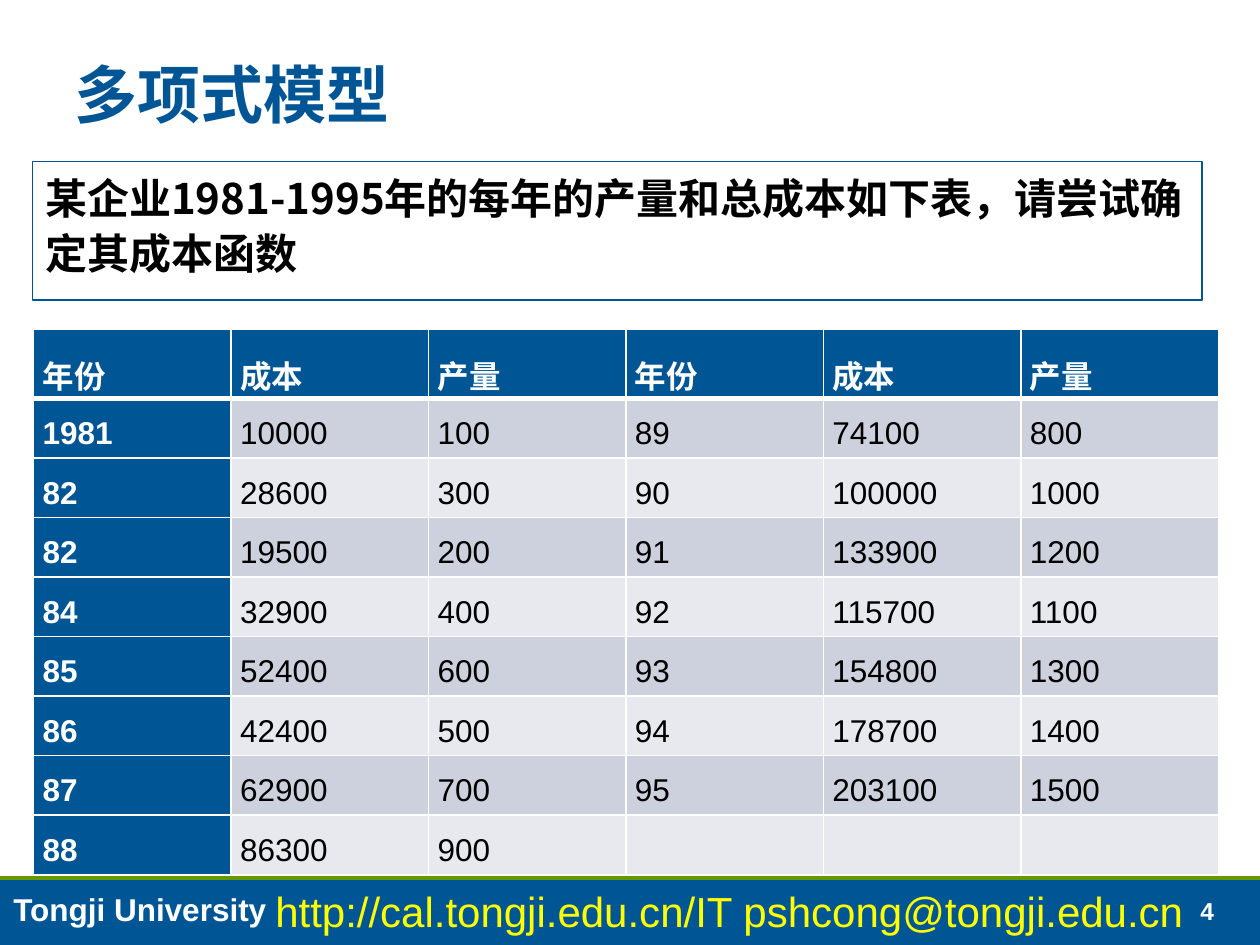
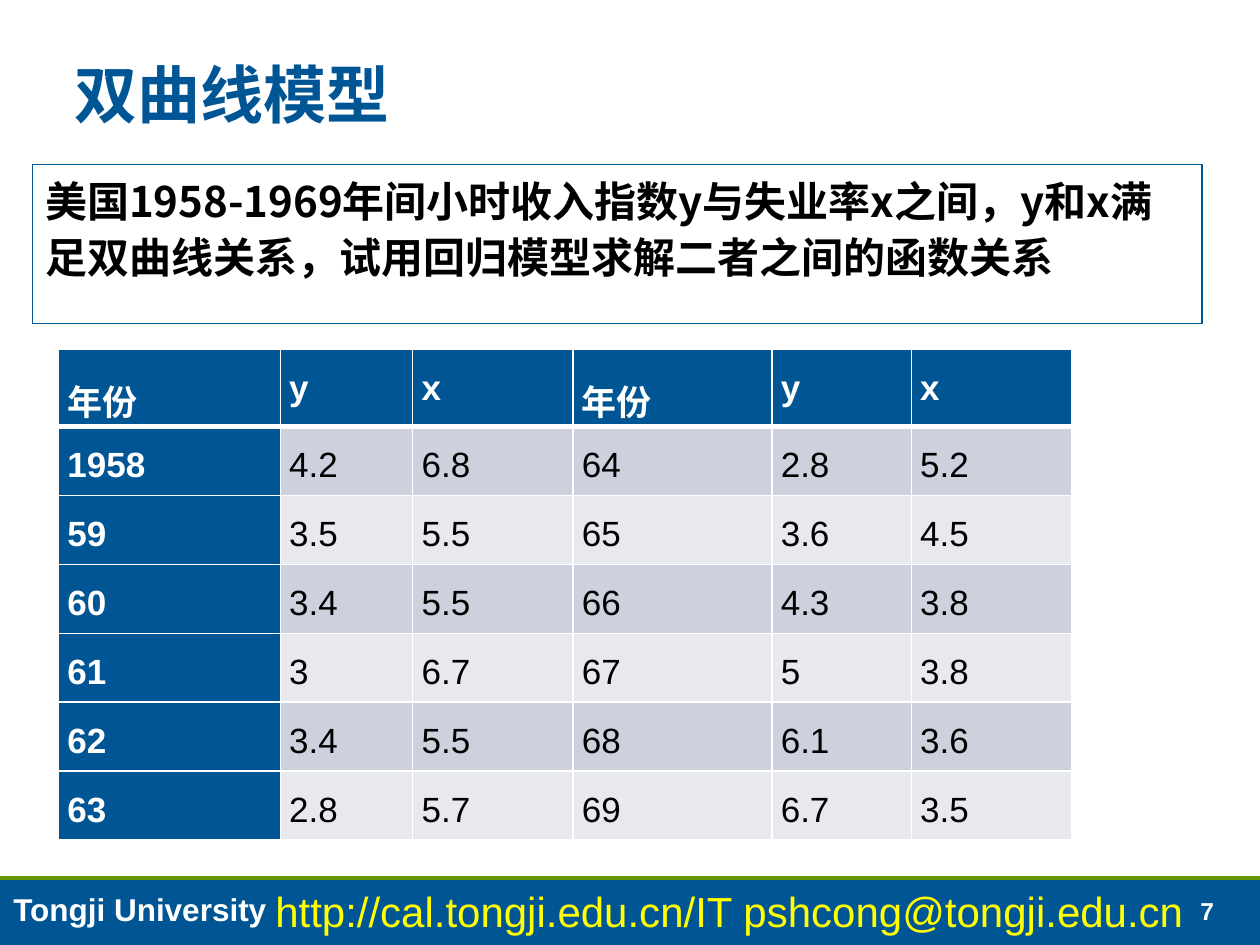
from dataclasses import dataclass

from lxml import etree
from pptx import Presentation
from pptx.dml.color import RGBColor
from pptx.enum.shapes import MSO_CONNECTOR, MSO_SHAPE
from pptx.enum.text import MSO_ANCHOR, PP_ALIGN
from pptx.oxml.ns import qn
from pptx.util import Cm, Pt

RECT = MSO_SHAPE.RECTANGLE
LINE = MSO_CONNECTOR.STRAIGHT
TOP, BASE = MSO_ANCHOR.TOP, MSO_ANCHOR.BOTTOM
LEFT, EVEN = PP_ALIGN.LEFT, PP_ALIGN.JUSTIFY


@dataclass(frozen=True)
class Theme:
    blue: str = "005595"
    green: str = "669900"
    white: str = "FFFFFF"
    black: str = "000000"
    yellow: str = "FFFF00"
    bands: tuple = ("CCD1DD", "E7E9EF")
    sans: str = "Arial"
    han: str = "Noto Sans CJK JP"
    title: int = 36
    body: int = 24
    mail: int = 24
    name: int = 18
    page: int = 14


T = Theme()

# Content: lengths in cm
WIDE, HIGH, FOOT = 25.4, 19.05, 17.7
NAME = "Tongji University"
MAIL = "http://cal.tongji.edu.cn/IT pshcong@tongji.edu.cn"

SLIDES = [
    {
        "page": "4",
        "title": "多项式模型",
        "task": "某企业1981-1995年的每年的产量和总成本如下表，请尝试确定其成本函数",
        "box": (0.66, 3.25, 23.57, 2.8),
        "spot": (0.68, 6.63),
        "cols": [3.98] * 6,
        "head": 1.4,
        "row": 1.2,
        "size": 18,
        "data": [
            ("年份", "成本", "产量", "年份", "成本", "产量"),
            ("1981", "10000", "100", "89", "74100", "800"),
            ("82", "28600", "300", "90", "100000", "1000"),
            ("82", "19500", "200", "91", "133900", "1200"),
            ("84", "32900", "400", "92", "115700", "1100"),
            ("85", "52400", "600", "93", "154800", "1300"),
            ("86", "42400", "500", "94", "178700", "1400"),
            ("87", "62900", "700", "95", "203100", "1500"),
            ("88", "86300", "900", "", "", ""),
        ],
    },
    {
        "page": "7",
        "title": "双曲线模型",
        "task": "美国1958-1969年间小时收入指数y与失业率x之间，y和x满足双曲线关系，"
                "试用回归模型求解二者之间的函数关系",
        "box": (0.66, 3.32, 23.57, 3.2),
        "spot": (1.18, 7.05),
        "cols": [4.47, 2.67, 3.23, 4.01, 2.81, 3.23],
        "head": 1.55,
        "row": 1.39,
        "size": 20,
        "data": [
            ("年份", "y", "x", "年份", "y", "x"),
            ("1958", "4.2", "6.8", "64", "2.8", "5.2"),
            ("59", "3.5", "5.5", "65", "3.6", "4.5"),
            ("60", "3.4", "5.5", "66", "4.3", "3.8"),
            ("61", "3", "6.7", "67", "5", "3.8"),
            ("62", "3.4", "5.5", "68", "6.1", "3.6"),
            ("63", "2.8", "5.7", "69", "6.7", "3.5"),
        ],
    },
]


def rgb(hue):
    return RGBColor.from_string(hue)


def paint(part, hue):
    part.fill.solid()
    part.fill.fore_color.rgb = rgb(hue)


def write(frame, text, size, hue, bold=True, font=T.sans, space=1.0, align=LEFT):
    par = frame.paragraphs[0]
    par.text = text
    par.alignment = align
    par.line_spacing = space
    face = par.font
    face.name, face.size, face.bold = font, Pt(size), bold
    face.color.rgb = rgb(hue)
    return par


def add_text(slide, box, *words, anchor=TOP, **style):
    shape = slide.shapes.add_textbox(*map(Cm, box))
    frame = shape.text_frame
    frame.word_wrap = True
    frame.vertical_anchor = anchor
    return shape, write(frame, *words, **style)


def edge(cell, rules):
    """Draw white cell borders; rules maps a side to its width in points."""
    props = cell._tc.get_or_add_tcPr()
    for spot, (side, width) in enumerate(rules.items()):
        line = etree.Element(qn("a:ln" + side), w=str(Pt(width)))
        fill = etree.SubElement(line, qn("a:solidFill"))
        etree.SubElement(fill, qn("a:srgbClr"), val=T.white)
        props.insert(spot, line)


def add_foot(slide, page):
    band = slide.shapes.add_shape(RECT, 0, Cm(FOOT), Cm(WIDE), Cm(HIGH - FOOT))
    band.shadow.inherit = False
    paint(band, T.blue)
    band.line.fill.background()
    rule = slide.shapes.add_connector(LINE, 0, Cm(FOOT), Cm(WIDE), Cm(FOOT))
    rule.line.color.rgb = rgb(T.green)
    rule.line.width = Pt(2)
    etree.SubElement(rule._element.spPr, qn("a:effectLst"))
    add_text(slide, (23.95, 17.93, 1.35, 0.86), page, T.page, T.white, anchor=BASE)
    add_text(slide, (0.02, 17.82, 8.92, 1.02), NAME, T.name, T.white)
    add_text(slide, (5.3, 17.73, 19.61, 1.27), MAIL, T.mail, T.yellow, bold=False)


def add_grid(slide, item):
    data, cols = item["data"], item["cols"]
    # The header is taller, to hold its Chinese labels
    rows = [item["head"]] + [item["row"]] * (len(data) - 1)
    box = (*item["spot"], sum(cols), sum(rows))
    grid = slide.shapes.add_table(len(rows), len(cols), *map(Cm, box)).table
    for col, wide in zip(grid.columns, cols):
        col.width = Cm(wide)
    for r, (row, high) in enumerate(zip(data, rows)):
        grid.rows[r].height = Cm(high)
        for c, text in enumerate(row):
            cell = grid.cell(r, c)
            head = r == 0 or c == 0
            paint(cell, T.blue if head else T.bands[(r - 1) % 2])
            # The rule under the header is thicker
            edge(cell, {"L": 1, "R": 1, "T": 3 if r == 1 else 1, "B": 3 if r == 0 else 1})
            cell.margin_left = cell.margin_right = Cm(0.18)
            cell.margin_top = cell.margin_bottom = 0
            write(cell.text_frame, text, item["size"], T.white if head else T.black,
                  bold=head, space=1.5, align=EVEN)


def add_page(deck, item):
    slide = deck.slides.add_slide(deck.slide_layouts[6])
    add_foot(slide, item["page"])
    # Title and task
    add_text(slide, (1.26, 0.4, 22.99, 2.41), item["title"], T.title, T.blue,
             anchor=BASE, space=0.95)
    task, par = add_text(slide, item["box"], item["task"], T.body, T.black,
                         font=T.han, space=1.1)
    par.space_before = Pt(6)
    task.line.color.rgb = rgb(T.blue)
    task.line.width = Pt(0.75)
    add_grid(slide, item)


def main():
    deck = Presentation()
    deck.slide_width, deck.slide_height = Cm(WIDE), Cm(HIGH)
    for item in SLIDES:
        add_page(deck, item)
    deck.save("out.pptx")


if __name__ == "__main__":
    main()
